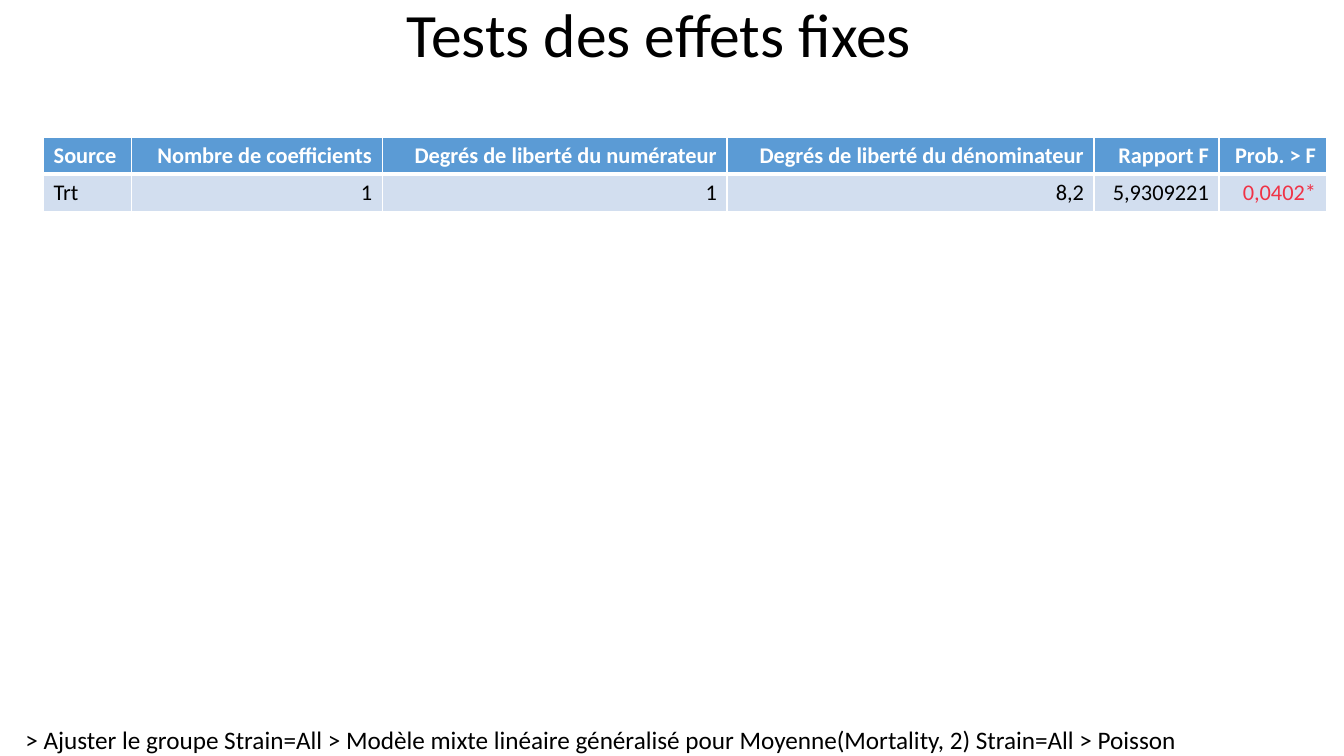
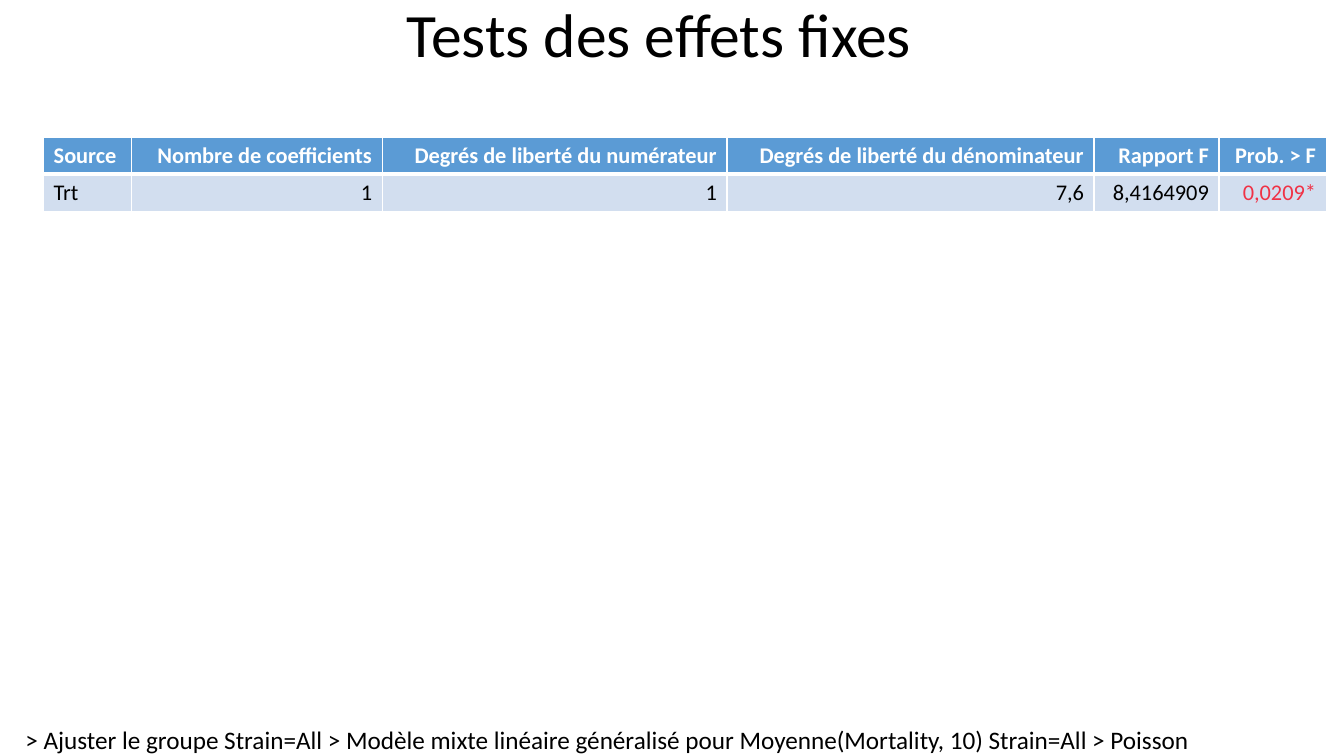
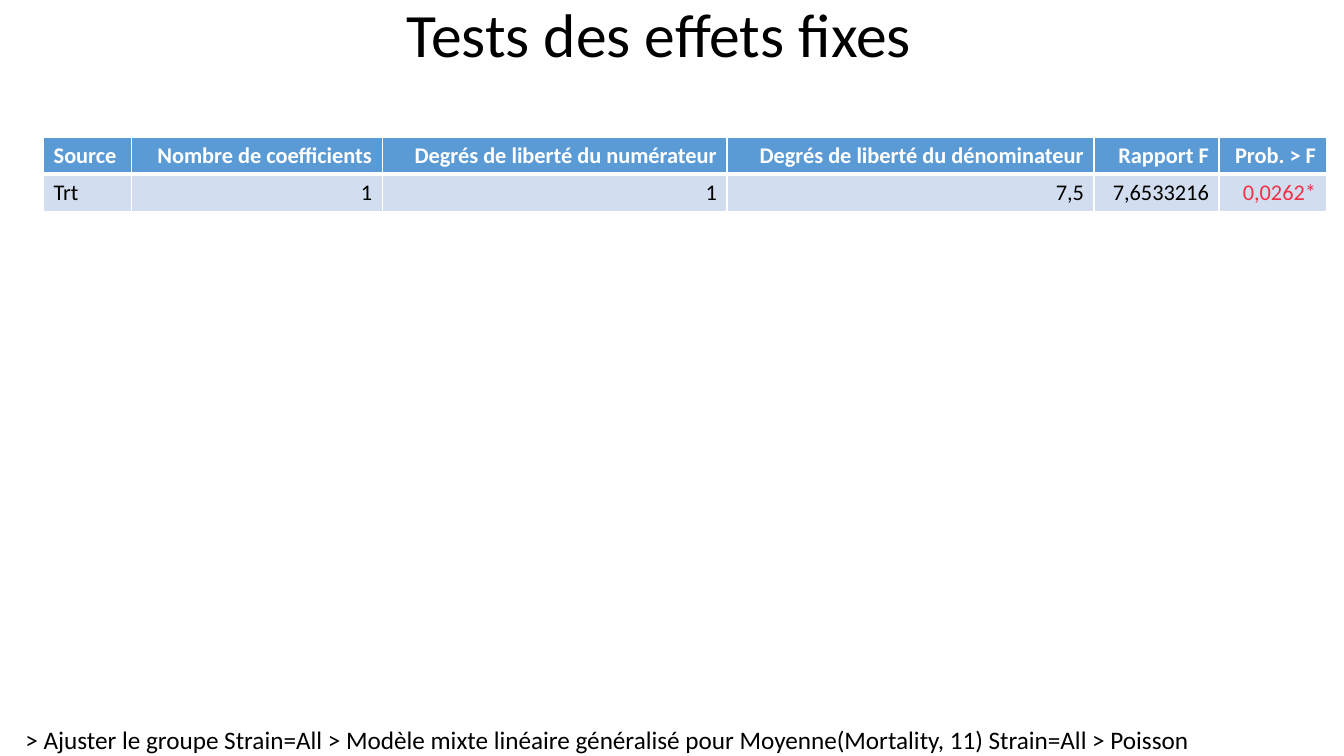
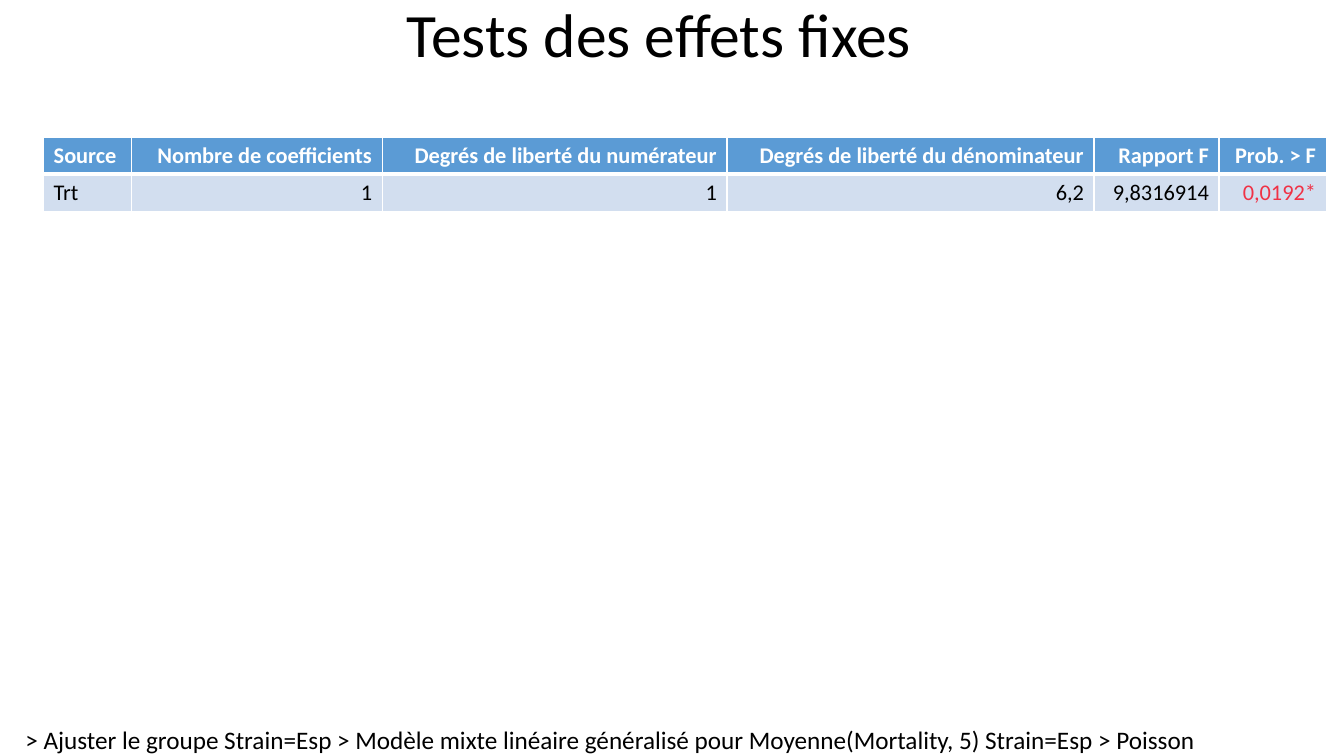
from dataclasses import dataclass

from lxml import etree
from pptx import Presentation
from pptx.dml.color import RGBColor as Rgb
from pptx.enum import text as et
from pptx.oxml import ns
from pptx.util import Cm, Pt


@dataclass(frozen=True)
class Theme:
    face: str = "Calibri"
    ink: str = "000000"
    white: str = "FFFFFF"
    blue: str = "5B9BD5"
    pale: str = "D2DEEF"
    red: str = "F03246"
    title: int = 44
    body: int = 16
    note: int = 18
    thin: int = 1
    thick: int = 3


look = Theme()


def write(para, words, size, tint, align=et.PP_ALIGN.LEFT, bold=False):
    """Fill a paragraph with one styled run."""
    para.alignment = align
    run = para.add_run()
    run.text = words
    style = {"name": look.face, "size": Pt(size), "bold": bold}
    for key, value in style.items():
        setattr(run.font, key, value)
    run.font.color.rgb = Rgb.from_string(tint)


def edge(cell, sides):
    """Draw white cell borders; sides maps a tag to its width in points."""
    props = cell._tc.get_or_add_tcPr()
    for tag, width in sides.items():
        line = etree.SubElement(props, ns.qn("a:" + tag), w=str(Pt(width)))
        fill = etree.SubElement(line, ns.qn("a:solidFill"))
        etree.SubElement(fill, ns.qn("a:srgbClr"), val=look.white)


# Shared content and column widths in centimetres
heads = {
    "Source": 2.21,
    "Nombre de coefficients": 6.32,
    "Degrés de liberté du numérateur": 8.69,
    "Degrés de liberté du dénominateur": 9.25,
    "Rapport F": 3.15,
    "Prob. > F": 2.7,
}
high = 0.93

# Strain, day, denominator, F ratio, probability, footer width
tests = [
    ("All", 2, "8,2", "5,9309221", "0,0402*", 29.18),
    ("All", 10, "7,6", "8,4164909", "0,0209*", 29.49),
    ("All", 11, "7,5", "7,6533216", "0,0262*", 29.49),
    ("Esp", 5, "6,2", "9,8316914", "0,0192*", 29.64),
]

deck = Presentation()
deck.slide_width, deck.slide_height = Cm(33.87), Cm(19.05)

for strain, day, denom, ratio, prob, wide in tests:
    slide = deck.slides.add_slide(deck.slide_layouts[6])

    # Footer with the model used
    foot = slide.shapes.add_textbox(Cm(0.64), Cm(18.26), Cm(wide), Cm(0.79))
    frame = foot.text_frame
    form = {"margin_left": 0, "margin_top": 0, "margin_right": 0,
            "margin_bottom": 0, "word_wrap": False,
            "auto_size": et.MSO_AUTO_SIZE.SHAPE_TO_FIT_TEXT}
    for key, value in form.items():
        setattr(frame, key, value)
    write(frame.paragraphs[0],
          f"> Ajuster le groupe Strain={strain} > Modèle mixte linéaire "
          f"généralisé pour Moyenne(Mortality, {day}) Strain={strain} > Poisson",
          look.note, look.ink)

    # Title
    head = slide.shapes.add_textbox(0, 0, Cm(33.22), Cm(1.9))
    frame = head.text_frame
    frame.word_wrap = True
    frame.vertical_anchor = et.MSO_ANCHOR.MIDDLE
    frame.paragraphs[0].line_spacing = 0.9
    write(frame.paragraphs[0], "Tests des effets fixes", look.title, look.ink,
          et.PP_ALIGN.CENTER)

    # Table of fixed effects
    rows = [list(heads), ["Trt", "1", "1", denom, ratio, prob]]
    grid = slide.shapes.add_table(
        len(rows), len(heads), Cm(1.1), Cm(3.46),
        Cm(sum(heads.values())), Cm(high * len(rows))).table
    for col, width in zip(grid.columns, heads.values()):
        col.width = Cm(width)
    for r, row in enumerate(rows):
        top = r == 0
        sides = {"lnL": look.thin, "lnR": look.thin,
                 "lnT": look.thin if top else look.thick,
                 "lnB": look.thick if top else look.thin}
        for c, words in enumerate(row):
            cell = grid.cell(r, c)
            edge(cell, sides)
            cell.fill.solid()
            cell.fill.fore_color.rgb = Rgb.from_string(
                look.blue if top else look.pale)
            tint = (look.white if top
                    else look.red if words.endswith("*") else look.ink)
            align = et.PP_ALIGN.RIGHT if c else et.PP_ALIGN.LEFT
            write(cell.text_frame.paragraphs[0], words, look.body, tint,
                  align, top)

deck.save("out.pptx")
